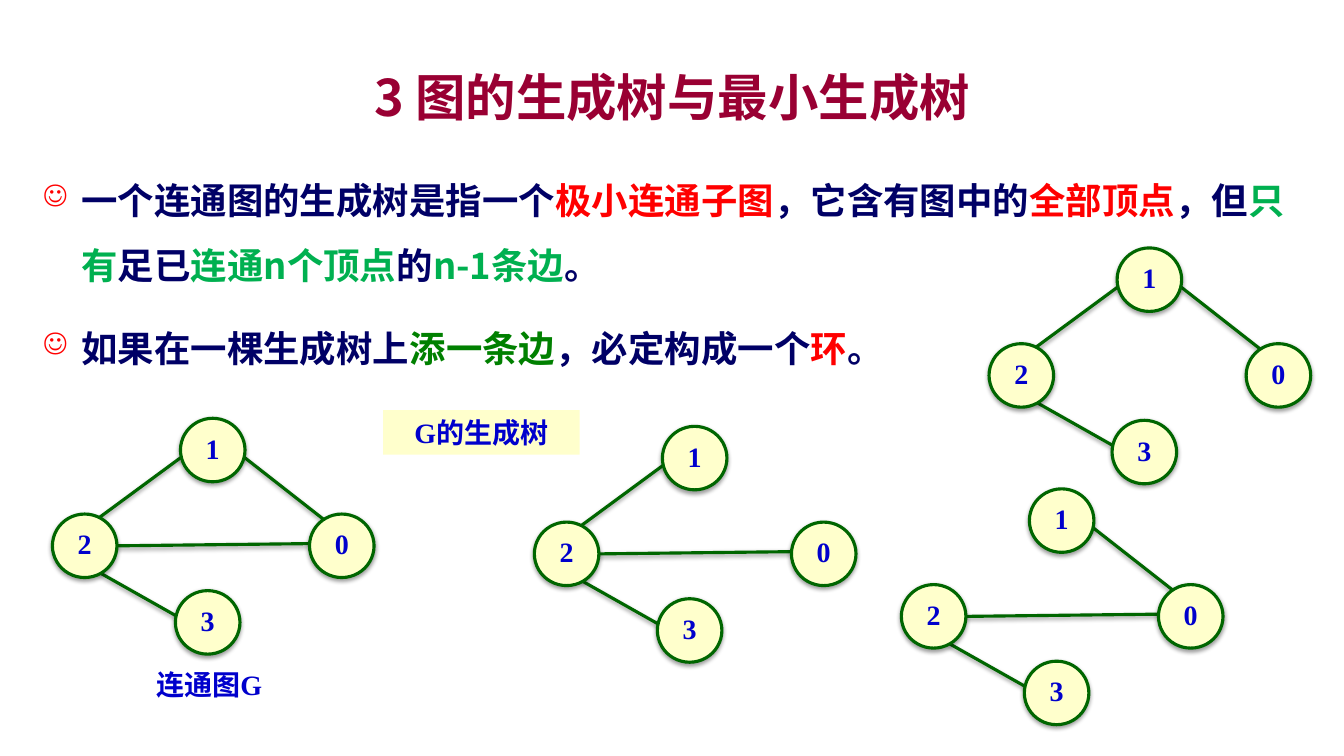
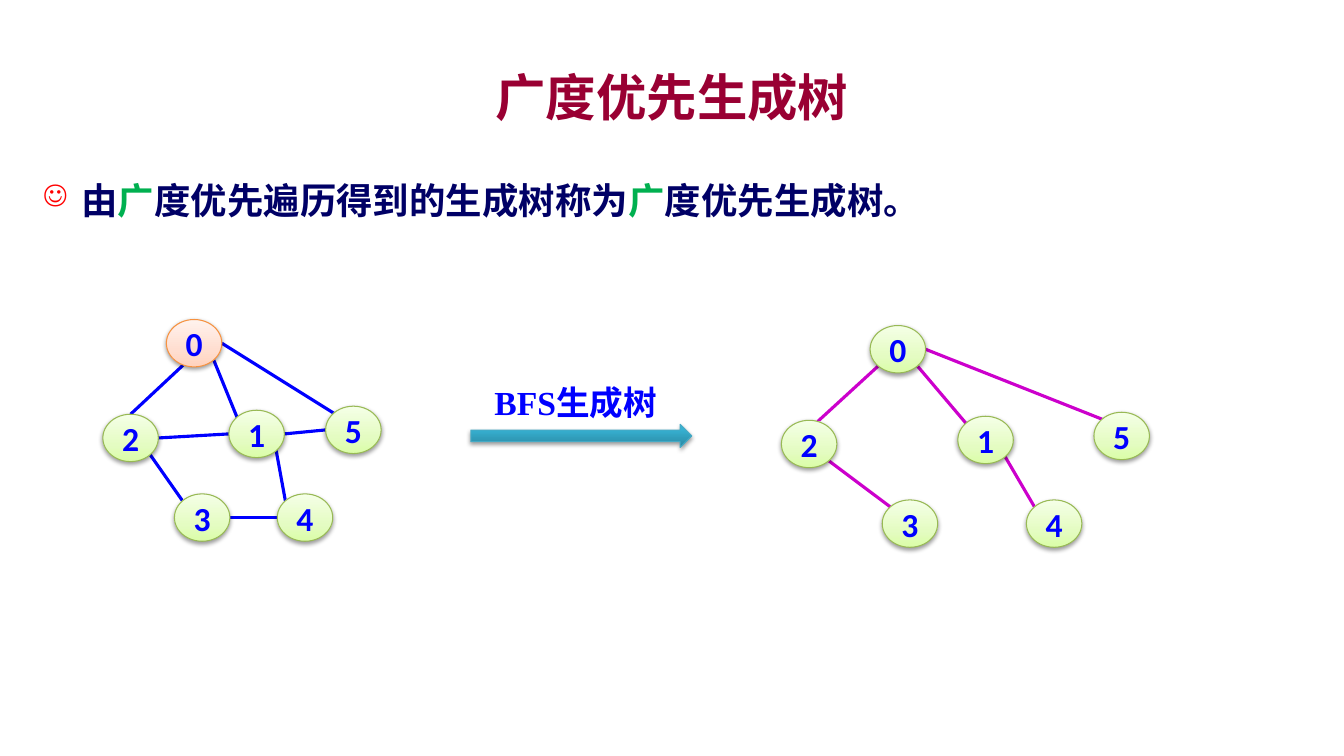
from copy import deepcopy
from math import cos, radians, sin

from lxml.etree import SubElement
from pptx import Presentation
from pptx.dml.color import RGBColor
from pptx.enum.shapes import MSO_CONNECTOR, MSO_SHAPE
from pptx.enum.text import MSO_ANCHOR, PP_ALIGN
from pptx.oxml.ns import qn
from pptx.util import Pt

SCALE = 9144
SANS = "Noto Sans CJK SC"
SERIF = "Times New Roman"
CRIMSON, NAVY, RED = "990033", "000066", "FF0000"
GREEN, DARK_GREEN, LINE_GREEN = "00B050", "008000", "006600"
CREAM, LABEL_BLUE, BLUE, PURPLE = "FFFFCC", "0000CC", "0000FF", "CC00CC"
LIME_STOPS = [(0, "DAFDA7"), (0.35, "E4FCC2"), (1, "F5FFE7")]
PEACH_STOPS = [(0, "FFD2BD"), (0.35, "FFDED0"), (1, "FFF2ED")]
TEAL_STOPS = [(0, "2A88A2"), (0.8, "37B1D2"), (1, "34B4D6")]

SMALL_NODES = {"1": (127, 0), "0": (255, 95), "2": (0, 95), "3": (122, 171)}
SMALL_EDGES = {
    "12": (193, 63),
    "23": (300, 168),
    "20": (0, 176),
    "10": (347, 124),
}
SOURCE_NODES = {"0": (63, 0), "1": (125, 90), "2": (0, 94),
                "3": (71, 173), "4": (173, 173), "5": (221, 86)}
SOURCE_EDGES = {
    "02": (247, 90), "23": (315, 135), "01": (315, 135), "21": (0, 180),
    "15": (0, 180), "14": (315, 135), "34": (0, 180), "05": (0, 135),
}
TREE_NODES = {"0": (88, 0), "1": (175, 90), "2": (0, 94),
              "3": (100, 173), "4": (243, 173), "5": (310, 86)}
TREE_EDGES = {"02": (225, 72), "23": (315, 135), "01": (315, 135),
              "14": (315, 135), "05": (0, 135)}


def px(length):
    return round(length * SCALE)


def color(value):
    return RGBColor.from_string(value)


def style_span(span, size, font, shade):
    span.font.size = Pt(size)
    span.font.bold = True
    span.font.color.rgb = color(shade)
    span.font.name = font
    east_asian = SubElement(span._r.get_or_add_rPr(), qn("a:ea"))
    east_asian.set("typeface", SANS)


def set_shadow(shape, visible):
    effects = SubElement(shape._element.spPr, qn("a:effectLst"))
    if visible:
        outer = SubElement(effects, qn("a:outerShdw"), blurRad="40000",
                           dist="20000", dir="5400000", rotWithShape="0")
        black = SubElement(outer, qn("a:srgbClr"), val="000000")
        SubElement(black, qn("a:alpha"), val="38000")


def set_gradient(shape, stops):
    shape.fill.gradient()
    shape.fill.gradient_angle = 90
    first = next(shape._element.spPr.iter(qn("a:gs")))
    first.addprevious(deepcopy(first))
    for stop, (position, shade) in zip(shape.fill.gradient_stops, stops):
        stop.position = position
        stop.color.rgb = color(shade)


def add_label(shapes, box, text, size, font, shade, fill=None):
    label = shapes.add_textbox(*map(px, box))
    frame = label.text_frame
    frame.word_wrap = True
    frame.text = text
    para = frame.paragraphs[0]
    para.alignment = PP_ALIGN.CENTER
    style_span(para.runs[0], size, font, shade)
    if fill:
        label.fill.solid()
        label.fill.fore_color.rgb = color(fill)
    return label


def add_title(page, text):
    title = add_label(page.shapes, (100, 58, 1133, 75), text, 36, SANS, CRIMSON)
    title.text_frame.vertical_anchor = MSO_ANCHOR.MIDDLE


def format_bullet(para):
    para.line_spacing = 1.5
    para.space_before = para.space_after = Pt(6)
    properties = para._p.get_or_add_pPr()
    properties.set("marL", str(px(38)))
    properties.set("indent", str(-px(38)))
    bullet_color = SubElement(properties, qn("a:buClr"))
    SubElement(bullet_color, qn("a:srgbClr"), val=RED)
    SubElement(properties, qn("a:buSzPct"), val="80000")
    SubElement(properties, qn("a:buChar"), char="☺")


def add_body(page, box, bullets):
    frame = page.shapes.add_textbox(*map(px, box)).text_frame
    frame.word_wrap = True
    for index, pieces in enumerate(bullets):
        para = frame.add_paragraph() if index else frame.paragraphs[0]
        format_bullet(para)
        for text, shade in pieces:
            span = para.add_run()
            span.text = text
            style_span(span, 26, SANS, shade)


def add_edge(shapes, start, end, shade, shadow):
    edge = shapes.add_connector(MSO_CONNECTOR.STRAIGHT, *map(px, start + end))
    edge.line.color.rgb = color(shade)
    edge.line.width = Pt(2.25)
    set_shadow(edge, shadow)


def add_node(shapes, box, name):
    node = shapes.add_shape(MSO_SHAPE.OVAL, *map(px, box))
    node.text_frame.text = name
    node.text_frame.paragraphs[0].alignment = PP_ALIGN.CENTER
    set_shadow(node, True)
    return node


def style_small_node(node):
    node.fill.solid()
    node.fill.fore_color.rgb = color(CREAM)
    node.line.color.rgb = color(LINE_GREEN)
    node.line.width = Pt(2.25)
    frame = node.text_frame
    frame.vertical_anchor = MSO_ANCHOR.TOP
    frame.margin_left = frame.margin_right = frame.margin_bottom = 0
    frame.margin_top = px(12)
    para = frame.paragraphs[0]
    para.line_spacing = 0.72
    style_span(para.runs[0], 20, SERIF, LABEL_BLUE)


def style_glossy_node(node, stops=LIME_STOPS, outline="98B955"):
    set_gradient(node, stops)
    node.line.color.rgb = color(outline)
    node.line.width = Pt(0.75)
    frame = node.text_frame
    frame.vertical_anchor = MSO_ANCHOR.MIDDLE
    frame.word_wrap = False
    style_span(frame.paragraphs[0].runs[0], 24, "Calibri", BLUE)


def add_graph(page, origin, size, nodes, edges, shade, style, edge_shadow):
    shapes = page.shapes.add_group_shape().shapes
    left, top = origin
    width, height = size

    def rim(name, angle):
        x, y = nodes[name]
        return (left + x + width / 2 * (1 + cos(radians(angle))),
                top + y + height / 2 * (1 - sin(radians(angle))))

    for (first, second), (leave, arrive) in edges.items():
        add_edge(shapes, rim(first, leave), rim(second, arrive), shade, edge_shadow)
    drawn = {}
    for name, (x, y) in nodes.items():
        drawn[name] = add_node(shapes, (left + x, top + y, width, height), name)
        style(drawn[name])
    return drawn


def add_small_graph(page, origin, missing=None):
    edges = {pair: ends for pair, ends in SMALL_EDGES.items() if pair != missing}
    add_graph(page, origin, (64, 63), SMALL_NODES, edges, LINE_GREEN,
              style_small_node, True)


def add_glossy_graph(page, origin, nodes, edges, shade):
    return add_graph(page, origin, (55, 47), nodes, edges, shade,
                     style_glossy_node, False)


def add_step_arrow(page, box, text):
    left, top, width, height = box
    shapes = page.shapes.add_group_shape().shapes
    arrow = shapes.add_shape(MSO_SHAPE.RIGHT_ARROW, *map(px, (left + 22, top + 47, 219, 23)))
    set_gradient(arrow, TEAL_STOPS)
    arrow.line.color.rgb = color("46AAC5")
    arrow.line.width = Pt(0.75)
    set_shadow(arrow, True)
    add_label(shapes, (left, top, width, height), text, 24, SERIF, BLUE)


def build_spanning_tree_page(page):
    add_title(page, "3 图的生成树与最小生成树")
    add_body(page, (33, 150, 1267, 567), [
        [("一个连通图的生成树是指一个", NAVY), ("极小连通子图", RED),
         ("，它含有图中的", NAVY), ("全部顶点", RED), ("，但", NAVY),
         ("只有", GREEN), ("足已", NAVY), ("连通n个顶点", GREEN),
         ("的", NAVY), ("n-1条边", GREEN), ("。", NAVY)],
        [("如果在一棵生成树上", NAVY), ("添一条边", DARK_GREEN),
         ("，必定构成一个", NAVY), ("环", RED), ("。", NAVY)],
    ])
    add_small_graph(page, (52, 415))
    add_small_graph(page, (530, 423), missing="10")
    add_small_graph(page, (981, 246), missing="20")
    add_small_graph(page, (894, 485), missing="12")
    add_label(page.shapes, (380, 407, 195, 44), "G的生成树", 20, SERIF, LABEL_BLUE, CREAM)
    add_label(page.shapes, (110, 657, 195, 44), "连通图G", 20, SERIF, LABEL_BLUE)


def build_breadth_first_page(page):
    add_title(page, "广度优先生成树")
    add_body(page, (33, 150, 1267, 92), [
        [("由", NAVY), ("广", GREEN), ("度优先遍历得到的生成树称为", NAVY),
         ("广", GREEN), ("度优先生成树。", NAVY)],
    ])
    source = add_glossy_graph(page, (102, 317), SOURCE_NODES, SOURCE_EDGES, BLUE)
    set_gradient(source["0"], PEACH_STOPS)
    source["0"].line.color.rgb = color("F69240")
    add_step_arrow(page, (445, 374, 252, 91), "BFS生成树")
    add_glossy_graph(page, (775, 323), TREE_NODES, TREE_EDGES, PURPLE)


def main():
    deck = Presentation()
    deck.slide_width, deck.slide_height = px(1333), px(750)
    for build in (build_spanning_tree_page, build_breadth_first_page):
        build(deck.slides.add_slide(deck.slide_layouts[6]))
    deck.save("out.pptx")


if __name__ == "__main__":
    main()
